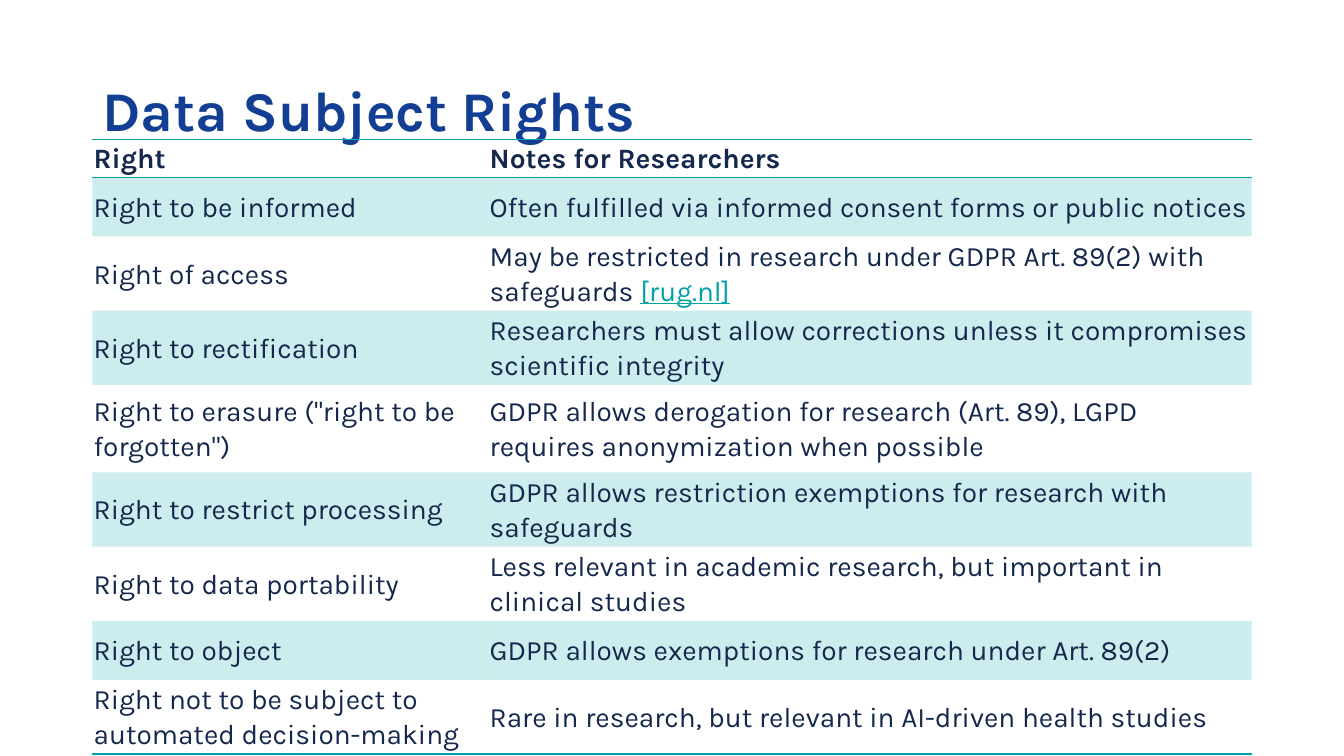
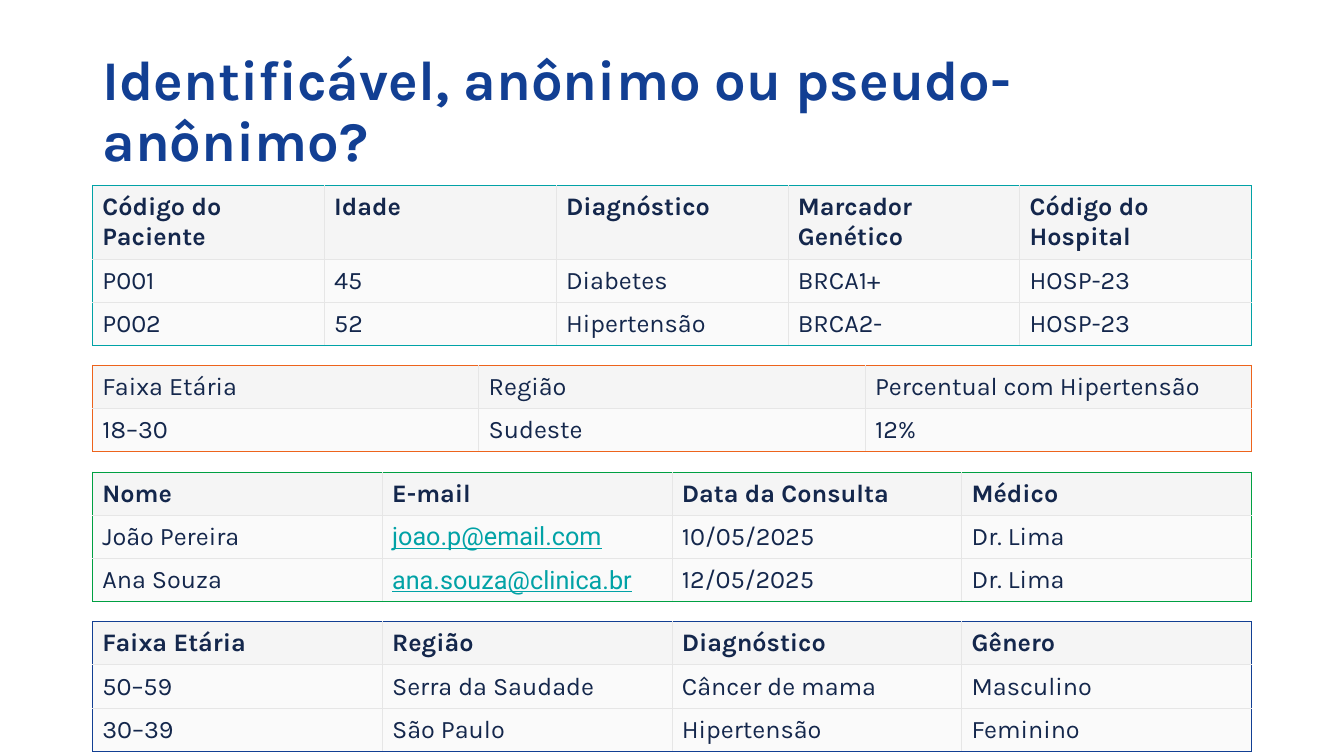
from dataclasses import dataclass

from lxml.etree import SubElement
from pptx import Presentation
from pptx.dml.color import RGBColor
from pptx.enum.text import MSO_ANCHOR
from pptx.oxml.ns import qn
from pptx.util import Cm, Pt

NAVY = RGBColor(0x14, 0x27, 0x4C)
BLUE = RGBColor(0x12, 0x3F, 0x93)
TEAL = RGBColor(0x01, 0xA2, 0xA6)
GREEN = RGBColor(0x00, 0xA0, 0x42)
ORANGE = RGBColor(0xED, 0x63, 0x1C)
GRID = RGBColor(0xE6, 0xE6, 0xE6)
HEADER_FILL = RGBColor(0xF5, 0xF5, 0xF5)
BODY_FILL = RGBColor(0xFA, 0xFA, 0xFA)

FONT = "Karla"
LINK_FONT = "Roboto"
PLAIN_TABLE_STYLE = "{2D5ABB26-0587-4C30-8999-92F81FD0307C}"

LEFT, WIDTH = 2.33, 29.21
LINE_ROW, TALL_ROW, TABLE_GAP = 1.08, 1.84, 0.53


@dataclass
class Link:
    """Text shown in the link colour, underlined."""
    text: str
    font: str = FONT


RIGHTS_COLUMNS = (9.98, 19.23)
RIGHTS = [
    (0.94, "Right", "Notes for Researchers"),
    (1.48, "Right to be informed",
     "Often fulfilled via informed consent forms or public notices"),
    (1.82, "Right of access",
     ("May be restricted in research under GDPR Art. 89(2) with safeguards ",
      Link("[rug.nl]"))),
    (1.82, "Right to rectification",
     "Researchers must allow corrections unless it compromises scientific integrity"),
    (2.2, 'Right to erasure ("right to be forgotten")',
     "GDPR allows derogation for research (Art. 89), LGPD requires "
     "anonymization when possible"),
    (1.82, "Right to restrict processing",
     "GDPR allows restriction exemptions for research with safeguards"),
    (1.82, "Right to data portability",
     "Less relevant in academic research, but important in clinical studies"),
    (1.48, "Right to object", "GDPR allows exemptions for research under Art. 89(2)"),
    (1.82, "Right not to be subject to automated decision-making",
     "Rare in research, but relevant in AI-driven health studies"),
]

# Frame colour, bold header, header height, rows
DATA_SAMPLES = [
    (TEAL, True, TALL_ROW, [
        ("Código do Paciente", "Idade", "Diagnóstico", "Marcador Genético",
         "Código do Hospital"),
        ("P001", "45", "Diabetes", "BRCA1+", "HOSP-23"),
        ("P002", "52", "Hipertensão", "BRCA2-", "HOSP-23"),
    ]),
    (ORANGE, False, LINE_ROW, [
        ("Faixa Etária", "Região", "Percentual com Hipertensão"),
        ("18–30", "Sudeste", "12%"),
    ]),
    (GREEN, True, LINE_ROW, [
        ("Nome", "E-mail", "Data da Consulta", "Médico"),
        ("João Pereira", Link("joao.p@email.com", LINK_FONT), "10/05/2025", "Dr. Lima"),
        ("Ana Souza", Link("ana.souza@clinica.br", LINK_FONT), "12/05/2025", "Dr. Lima"),
    ]),
    (BLUE, True, LINE_ROW, [
        ("Faixa Etária", "Região", "Diagnóstico", "Gênero"),
        ("50–59", "Serra da Saudade", "Câncer de mama", "Masculino"),
        ("30–39", "São Paulo", "Hipertensão", "Feminino"),
    ]),
]


def style_font(font, size, color, bold):
    font.name = FONT
    font.size = Pt(size)
    font.color.rgb = color
    font.bold = bold


def add_title(page, text):
    box = page.shapes.add_textbox(Cm(LEFT), Cm(1.01), Cm(WIDTH), Cm(3.68))
    frame = box.text_frame
    frame.word_wrap = True
    frame.vertical_anchor = MSO_ANCHOR.MIDDLE
    para = frame.paragraphs[0]
    para.text = text
    para.line_spacing = 0.9
    style_font(para.font, 40, BLUE, True)


def add_plain_table(page, top, column_widths, row_heights):
    """Add a table without any style, its left side on the page margin."""
    frame = page.shapes.add_table(
        len(row_heights), len(column_widths), Cm(LEFT), Cm(top),
        Cm(sum(column_widths)), Cm(sum(row_heights)))
    table = frame.table
    table.first_row = table.horz_banding = False
    frame._element.find(".//" + qn("a:tableStyleId")).text = PLAIN_TABLE_STYLE
    for column, width in zip(table.columns, column_widths):
        column.width = Cm(width)
    for row, height in zip(table.rows, row_heights):
        row.height = Cm(height)
    return table


def write_cell(cell, content, size, bold, insets):
    """Fill a cell with text, a Link, or a tuple of both; insets are l, t, r, b."""
    (cell.margin_left, cell.margin_top,
     cell.margin_right, cell.margin_bottom) = map(Cm, insets)
    para = cell.text_frame.paragraphs[0]
    style_font(para.font, size, NAVY, bold)
    for part in content if isinstance(content, tuple) else (content,):
        span = para.add_run()
        style_font(span.font, size, NAVY, bold)
        if isinstance(part, Link):
            span.text = part.text
            span.font.name = part.font
            span.font.color.rgb = TEAL
            span.font.underline = True
        else:
            span.text = part
    return para


def set_borders(cell, borders):
    """Draw borders given as {side: (colour, points)}, sides L, R, T and B."""
    properties = cell._tc.get_or_add_tcPr()
    sides = [side for side in "LRTB" if side in borders]
    for position, side in enumerate(sides):
        color, points = borders[side]
        line = SubElement(properties, qn("a:ln" + side), w=str(Pt(points)))
        fill = SubElement(line, qn("a:solidFill"))
        SubElement(fill, qn("a:srgbClr"), val=str(color))
        properties.insert(position, line)


def set_fill(cell, color, opacity=100):
    cell.fill.solid()
    cell.fill.fore_color.rgb = color
    if opacity < 100:
        color_element = cell._tc.tcPr.find(qn("a:solidFill")).find(qn("a:srgbClr"))
        SubElement(color_element, qn("a:alpha"), val=str(opacity * 1000))


def add_rights_table(page, top):
    table = add_plain_table(page, top, RIGHTS_COLUMNS, [row[0] for row in RIGHTS])
    last = len(RIGHTS) - 1
    rule = (TEAL, 1)
    for r, (_, *contents) in enumerate(RIGHTS):
        for c, content in enumerate(contents):
            cell = table.cell(r, c)
            para = write_cell(cell, content, 20, r == 0, (0.03,) * 4)
            para.line_spacing = 1.07
            para.space_after = Pt(8)
            cell.vertical_anchor = MSO_ANCHOR.MIDDLE
            if r % 2:
                set_fill(cell, TEAL, 20)
            if r == 0:
                set_borders(cell, {"T": rule, "B": rule})
            elif r == last:
                set_borders(cell, {"B": rule})


def add_sample_table(page, top, color, bold_header, header_height, rows):
    """Add a gridded table with a coloured frame and return its height."""
    columns = len(rows[0])
    heights = [header_height] + [LINE_ROW] * (len(rows) - 1)
    table = add_plain_table(page, top, [WIDTH / columns] * columns, heights)
    frame, grid = (color, 0.5), (GRID, 0.6)
    for r, contents in enumerate(rows):
        last_row = r == len(rows) - 1
        for c, content in enumerate(contents):
            cell = table.cell(r, c)
            write_cell(cell, content, 18, bold_header and r == 0,
                       (0.25, 0.18, 0.18, 0.13 if last_row else 0.15))
            set_fill(cell, BODY_FILL if r else HEADER_FILL)
            set_borders(cell, {
                "L": grid if c else frame,
                "R": frame if c == columns - 1 else grid,
                "T": grid if r else frame,
                "B": frame if last_row else grid,
            })
    return sum(heights)


def build_rights_page(page):
    add_title(page, "Data Subject Rights")
    add_rights_table(page, 3.51)


def build_samples_page(page):
    add_title(page, "Identificável, anônimo ou pseudo-anônimo?")
    top = 4.67
    for sample in DATA_SAMPLES:
        top += add_sample_table(page, top, *sample) + TABLE_GAP


def main():
    deck = Presentation()
    deck.slide_width, deck.slide_height = Cm(33.87), Cm(19.05)
    for build in (build_rights_page, build_samples_page):
        build(deck.slides.add_slide(deck.slide_layouts[6]))
    deck.save("out.pptx")


if __name__ == "__main__":
    main()
